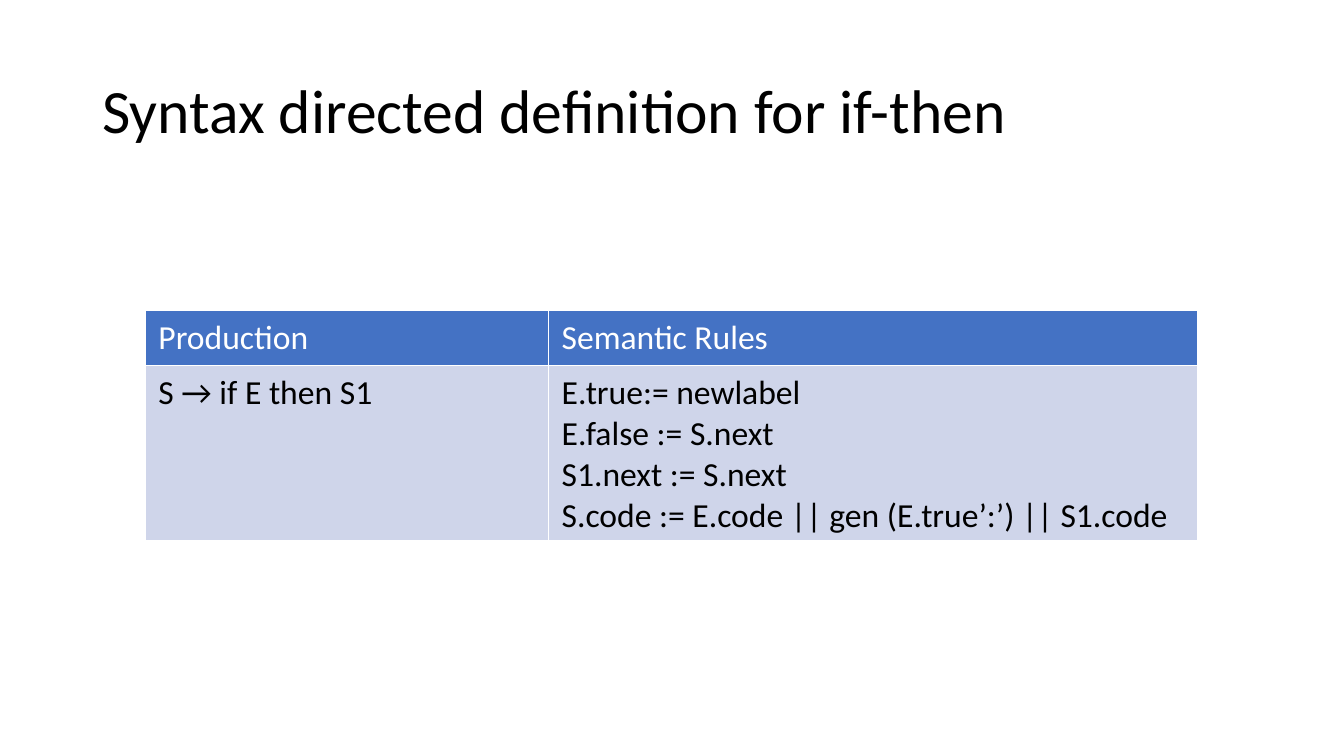
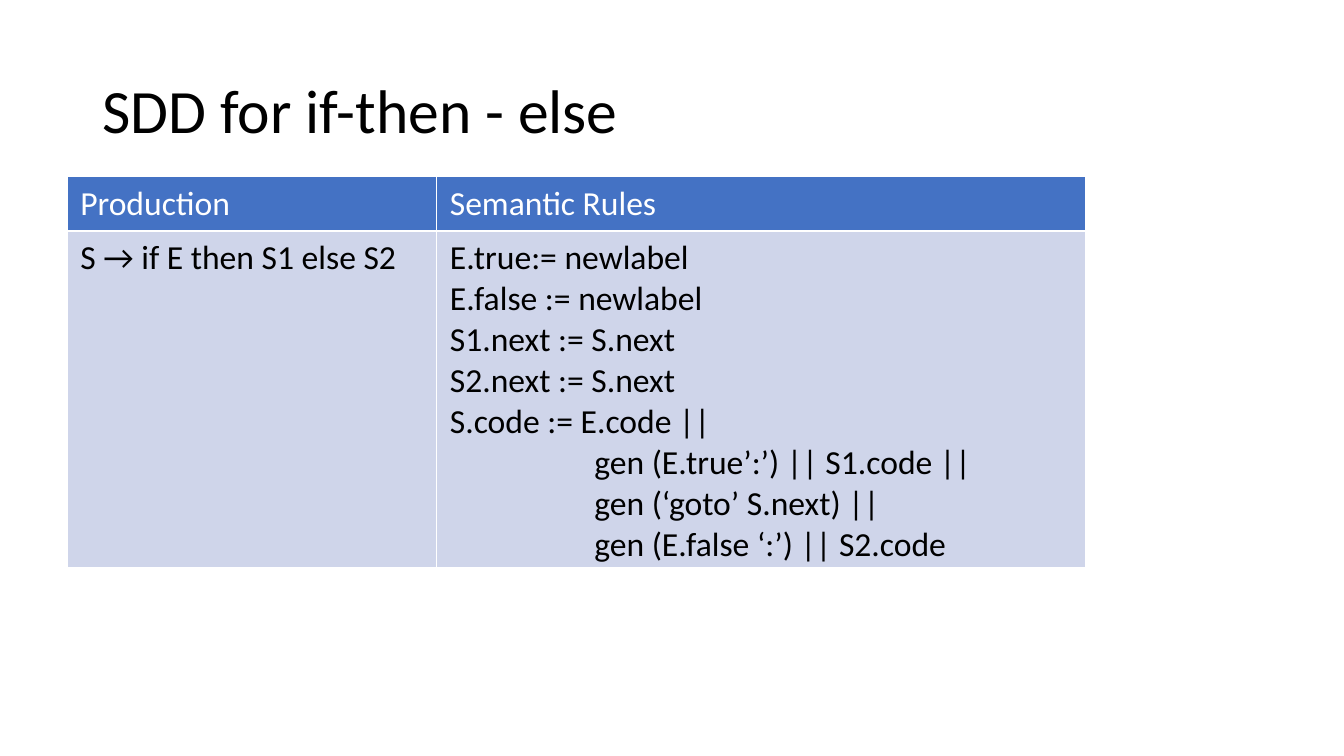
from lxml import etree
from pptx import Presentation
from pptx.dml.color import RGBColor
from pptx.enum.text import MSO_ANCHOR
from pptx.oxml.ns import qn
from pptx.util import Inches, Pt

MIDDLE = MSO_ANCHOR.MIDDLE
COLORS = {"ink": "000000", "paper": "FFFFFF", "head": "4472C4", "body": "CFD5EA"}
HEADS = ["Production", "Semantic Rules"]
RULES = 77.3
TAB = 17.2


class Deck:
    """Slides on a grid of 160 columns by 90 rows, with one shared style."""

    font = "Calibri"
    cols, rows = 160, 90

    def __init__(self):
        self.deck = Presentation()
        self.deck.slide_width = self.unit(self.cols)
        self.deck.slide_height = self.unit(self.rows)
        self.slide = None

    def unit(self, count):
        return Inches(count / 12)

    def color(self, name):
        return RGBColor.from_string(COLORS[name])

    def style(self, para, size, ink):
        for run in para.runs:
            run.font.name = self.font
            run.font.size = Pt(size)
            run.font.color.rgb = self.color(ink)

    def page(self, title):
        self.slide = self.deck.slides.add_slide(self.deck.slide_layouts[6])
        area = [self.unit(n) for n in (11, 4.8, 138, 17.4)]
        frame = self.slide.shapes.add_textbox(*area).text_frame
        frame.word_wrap = True
        frame.vertical_anchor = MIDDLE
        frame.text = title
        para = frame.paragraphs[0]
        para.line_spacing = 0.9
        self.style(para, 44, "ink")

    def border(self, cell):
        props = cell._tc.get_or_add_tcPr()
        for spot, side in enumerate(("lnL", "lnR", "lnT", "lnB")):
            line = etree.Element(qn("a:" + side), w=str(Pt(1)))
            fill = etree.SubElement(line, qn("a:solidFill"))
            etree.SubElement(fill, qn("a:srgbClr"), val=COLORS["paper"])
            props.insert(spot, line)

    def cell(self, cell, text, fill, ink):
        cell.margin_left = cell.margin_right = Inches(0.13)
        cell.margin_top = cell.margin_bottom = Inches(0.07)
        cell.fill.solid()
        cell.fill.fore_color.rgb = self.color(fill)
        self.border(cell)
        cell.text_frame.text = text.replace("\t", "")
        for para, line in zip(cell.text_frame.paragraphs, text.split("\n")):
            if line.startswith("\t"):
                para._p.get_or_add_pPr().set("marL", str(self.unit(TAB)))
            self.style(para, 24, ink)

    def table(self, left, top, widths, heights, data):
        area = [self.unit(n) for n in (left, top, sum(widths), sum(heights))]
        table = self.slide.shapes.add_table(len(heights), len(widths), *area).table
        for col, width in zip(table.columns, widths):
            col.width = self.unit(width)
        for row, height in zip(table.rows, heights):
            row.height = self.unit(height)
        for r, line in enumerate(data):
            fill, ink = ("body", "ink") if r else ("head", "paper")
            for c, text in enumerate(line):
                self.cell(table.cell(r, c), text, fill, ink)

    def save(self):
        self.deck.save("out.pptx")


def main():
    deck = Deck()
    deck.page("Syntax directed definition for if-then")
    rules = """E.true:= newlabel
E.false := S.next
S1.next := S.next
S.code := E.code || gen (E.true’:’) || S1.code"""
    deck.table(17.3, 37, [48, RULES], [6.5, 20.8],
               [HEADS, ["S → if E then S1", rules]])

    deck.page("SDD for if-then - else")
    rules = """E.true:= newlabel
E.false := newlabel
S1.next := S.next
S2.next := S.next
S.code := E.code ||
\tgen (E.true’:’) || S1.code ||
\tgen (‘goto’ S.next) ||
\tgen (E.false ‘:’) || S2.code"""
    deck.table(8, 21, [44, RULES], [6.5, 40],
               [HEADS, ["S → if E then S1 else S2", rules]])
    deck.save()


if __name__ == "__main__":
    main()
